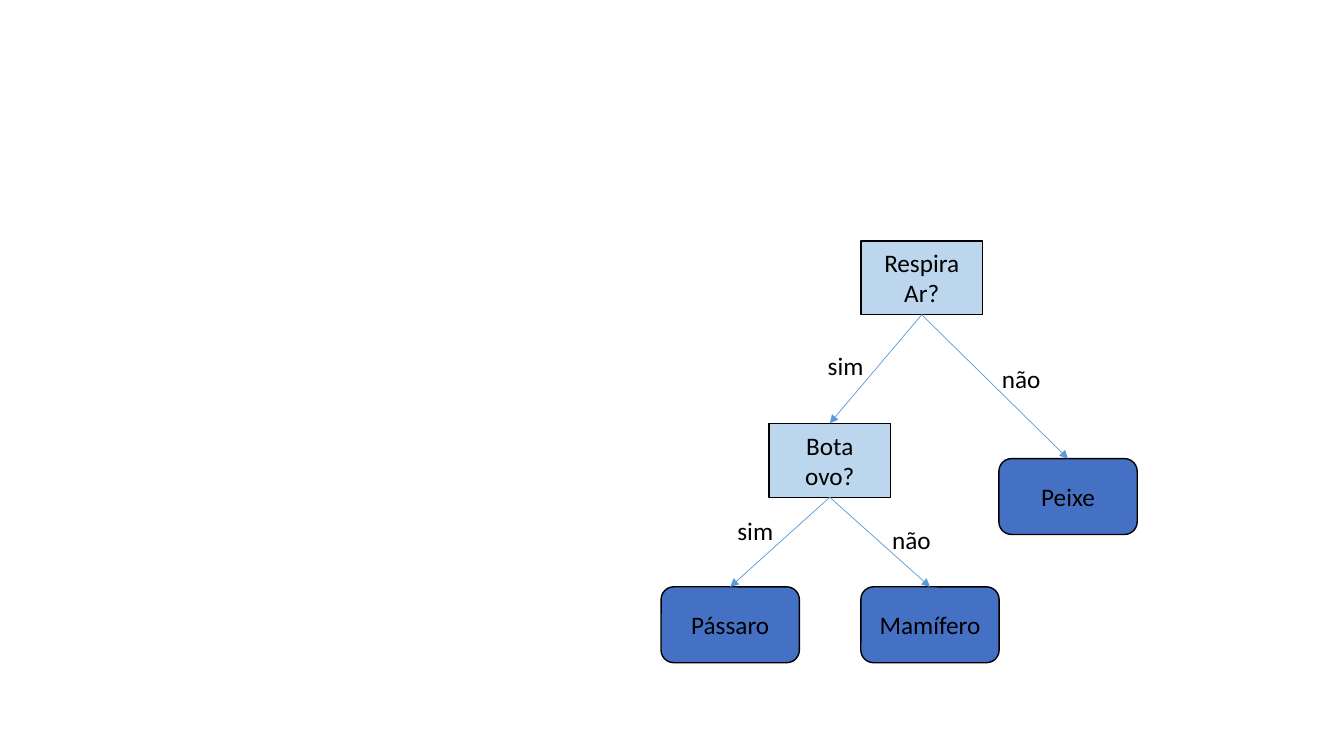
from typing import NamedTuple

from lxml.etree import SubElement
from pptx import Presentation
from pptx.dml.color import RGBColor
from pptx.enum.shapes import MSO_CONNECTOR, MSO_SHAPE
from pptx.enum.text import MSO_ANCHOR, PP_ALIGN
from pptx.oxml.ns import qn
from pptx.shapes.autoshape import Shape
from pptx.slide import Slide
from pptx.util import Pt

BLACK = RGBColor(0x00, 0x00, 0x00)
QUESTION_BLUE = RGBColor(0xBC, 0xD6, 0xED)
ANSWER_BLUE = RGBColor(0x44, 0x71, 0xC4)
ARROW_BLUE = RGBColor(0x5B, 0x9B, 0xD4)

FONT_FORMAT = {"name": "Calibri", "size": Pt(18)}
BOTTOM, TOP = 2, 0
LABEL_WIDTH, LABEL_HEIGHT = 30, 24


class NodeStyle(NamedTuple):
    outline: MSO_SHAPE
    fill: RGBColor
    width: float
    height: float
    side_inset: float


class Node(NamedTuple):
    style: NodeStyle
    left: float
    top: float
    lines: tuple[str, ...]


class Branch(NamedTuple):
    parent: str
    child: str
    answer: str
    label_left: float
    label_top: float


QUESTION = NodeStyle(MSO_SHAPE.RECTANGLE, QUESTION_BLUE, 87, 52.8, 15)
ANSWER = NodeStyle(MSO_SHAPE.ROUNDED_RECTANGLE, ANSWER_BLUE, 98.8, 54.2, 0)

NODES = {
    "breathes": Node(QUESTION, 614.9, 172, ("Respira", "Ar?")),
    "lays_eggs": Node(QUESTION, 549.2, 302.4, ("Bota ovo?",)),
    "fish": Node(ANSWER, 713.5, 327.6, ("Peixe",)),
    "bird": Node(ANSWER, 472.2, 419.2, ("Pássaro",)),
    "mammal": Node(ANSWER, 614.9, 419.2, ("Mamífero",)),
}

BRANCHES = (
    Branch("breathes", "lays_eggs", "sim", 589, 249),
    Branch("breathes", "fish", "não", 714.5, 258.5),
    Branch("lays_eggs", "bird", "sim", 524.5, 367),
    Branch("lays_eggs", "mammal", "não", 636, 373.5),
)


def write_text(shape: Shape, lines: tuple[str, ...], side_inset: float, wrap: bool) -> None:
    frame_format = {
        "text": "\n".join(lines),
        "word_wrap": wrap,
        "vertical_anchor": MSO_ANCHOR.MIDDLE,
        "margin_left": Pt(side_inset),
        "margin_right": Pt(side_inset),
        "margin_top": 0,
        "margin_bottom": 0,
    }
    for name, value in frame_format.items():
        setattr(shape.text_frame, name, value)
    for paragraph in shape.text_frame.paragraphs:
        paragraph.alignment = PP_ALIGN.CENTER
        for name, value in FONT_FORMAT.items():
            setattr(paragraph.font, name, value)
        paragraph.font.color.rgb = BLACK


def draw_node(slide: Slide, node: Node) -> Shape:
    style = node.style
    shape = slide.shapes.add_shape(
        style.outline, Pt(node.left), Pt(node.top), Pt(style.width), Pt(style.height)
    )
    shape.shadow.inherit = False
    shape.fill.solid()
    shape.fill.fore_color.rgb = style.fill
    shape.line.color.rgb = BLACK
    shape.line.width = Pt(1)
    write_text(shape, node.lines, style.side_inset, True)
    return shape


def draw_branch(slide: Slide, branch: Branch, shapes: dict[str, Shape]) -> None:
    connector = slide.shapes.add_connector(MSO_CONNECTOR.STRAIGHT, 0, 0, 0, 0)
    connector.begin_connect(shapes[branch.parent], BOTTOM)
    connector.end_connect(shapes[branch.child], TOP)
    connector.line.color.rgb = ARROW_BLUE
    connector.line.width = Pt(0.5)
    properties = connector.element.spPr
    SubElement(properties.find(qn("a:ln")), qn("a:tailEnd"), type="triangle")
    SubElement(properties, qn("a:effectLst"))

    label = slide.shapes.add_textbox(
        Pt(branch.label_left), Pt(branch.label_top), Pt(LABEL_WIDTH), Pt(LABEL_HEIGHT)
    )
    write_text(label, (branch.answer,), 0, False)


def main() -> None:
    presentation = Presentation()
    presentation.slide_width = Pt(960)
    presentation.slide_height = Pt(540)
    slide = presentation.slides.add_slide(presentation.slide_layouts[6])
    shapes = {name: draw_node(slide, node) for name, node in NODES.items()}
    for branch in BRANCHES:
        draw_branch(slide, branch, shapes)
    presentation.save("out.pptx")


if __name__ == "__main__":
    main()
